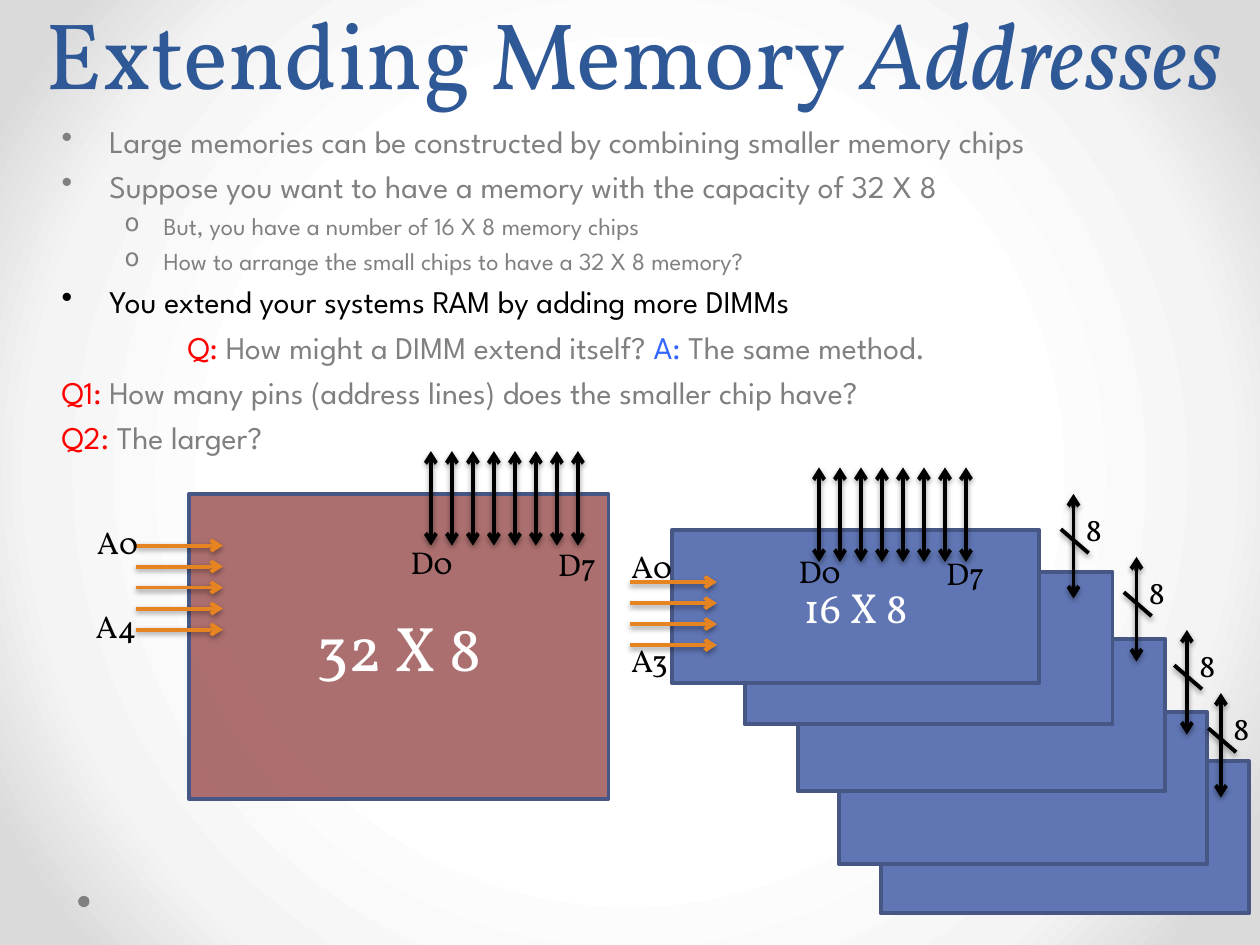
"""Build a slide on extending memory addresses by combining smaller chips."""
from dataclasses import dataclass

from lxml.etree import SubElement
from pptx import Presentation
from pptx.dml.color import RGBColor
from pptx.enum.shapes import MSO_CONNECTOR, MSO_SHAPE
from pptx.enum.text import MSO_ANCHOR, PP_ALIGN
from pptx.oxml import parse_xml
from pptx.oxml.ns import nsdecls, qn
from pptx.slide import Slide
from pptx.text.text import TextFrame
from pptx.util import Inches, Pt

COLORS = {
    "title": "2F5897", "body": "808080", "question": "FF0000", "answer": "3366FF",
    "detail": "7F7F7F", "ink": "000000", "white": "FFFFFF", "large": "9C5252",
    "small": "6076B4", "border": "475785", "address": "E68422",
}
SERIF, SANS = "Vollkorn", "League Spartan"
PITCH = 1 / 6
BACKGROUND = f"""<p:bg {nsdecls('p', 'a')}><p:bgPr><a:gradFill rotWithShape="1"><a:gsLst>
<a:gs pos="50000"><a:srgbClr val="FFFFFF"/></a:gs>
<a:gs pos="76000"><a:srgbClr val="F4F4F4"/></a:gs>
<a:gs pos="92000"><a:srgbClr val="DADADA"/></a:gs></a:gsLst>
<a:path path="circle"><a:fillToRect l="50000" t="50000" r="50000" b="50000"/></a:path>
</a:gradFill><a:effectLst/></p:bgPr></p:bg>"""
SHADOW = f"""<a:effectLst {nsdecls('a')}><a:outerShdw blurRad="40000" dist="20000" dir="5400000"
rotWithShape="0"><a:srgbClr val="000000"><a:alpha val="38000"/></a:srgbClr>
</a:outerShdw></a:effectLst>"""


@dataclass(frozen=True)
class Run:
    """A stretch of text in one style."""
    text: str
    color: str = "body"
    size: float = 18
    font: str = SANS
    italic: bool = False


@dataclass(frozen=True)
class Line:
    """A body paragraph with its bullet and indents."""
    runs: tuple[Run, ...]
    bullet: str = ""
    margin: float = 0
    hanging: float = 0
    before: float = 4.2


@dataclass(frozen=True)
class Chip:
    """A memory chip block."""
    left: float
    top: float
    width: float = 2.92
    height: float = 1.21
    color: str = "small"
    name: str = ""
    size: float = 24
    opacity: int = 100


@dataclass(frozen=True)
class Bus:
    """A set of evenly spaced signal arrows."""
    left: float
    top: float
    count: int


@dataclass(frozen=True)
class Label:
    """A pin name beside a bus."""
    text: str
    left: float
    top: float
    width: float = 0.59
    wrap: bool = True


def bullet(text: str, color: str = "body") -> Line:
    """Return a first-level bullet."""
    return Line((Run(text, color),), "•", 0.38, 0.38)


def sub_bullet(text: str) -> Line:
    """Return a second-level bullet."""
    return Line((Run(text, size=14),), "o", 0.81, 0.31, 3.2)


BODY = (
    bullet("Large memories can be constructed by combining smaller memory chips"),
    bullet("Suppose you want to have a memory with the capacity of 32 X 8"),
    sub_bullet("But, you have a number of 16 X 8 memory chips"),
    sub_bullet("How to arrange the small chips to have a 32 X 8 memory?"),
    bullet("You extend your systems RAM by adding more DIMMs", "ink"),
    Line((Run("Q: ", "question"), Run("How might a DIMM extend itself? "),
          Run("A: ", "answer"), Run("The same method.")), margin=1),
    Line((Run("Q1: ", "question"),
          Run("How many pins (address lines) does the smaller chip have?", "detail"))),
    Line((Run("Q2:", "question"), Run(" The larger?", "detail"))),
)
CHIPS = (
    Chip(1.5, 3.92, 3.33, 2.42, "large", "32 X 8", 36, 83),
    Chip(6.99, 6.04), Chip(6.66, 5.65), Chip(6.33, 5.07), Chip(5.91, 4.54),
    Chip(5.33, 4.21, name="16 X 8"),
)
DATA_BUSES = (Bus(6.5, 3.71, 8), Bus(3.42, 3.58, 8))
ADDRESS_BUSES = (Bus(5, 4.62, 4), Bus(1.08, 4.33, 5))
PINS = (
    Label("A0", 0.67, 4.1), Label("A4", 0.66, 4.77), Label("D0", 3.16, 4.26),
    Label("D7", 4.33, 4.28), Label("A0", 4.91, 4.29), Label("A3", 4.91, 5.04),
    Label("D0", 6.24, 4.33), Label("D7", 7.41, 4.35),
)
BYTE_LINES = ((8.52, 3.92), (9.02, 4.42), (9.42, 5), (9.69, 5.5))


def rgb(name: str) -> RGBColor:
    """Return a named colour."""
    return RGBColor.from_string(COLORS[name])


def add_runs(paragraph, runs: tuple[Run, ...]) -> None:
    """Append styled runs to a paragraph."""
    for part in runs:
        run = paragraph.add_run()
        run.text = part.text
        style = {"name": part.font, "size": Pt(part.size), "italic": part.italic}
        for key, value in style.items():
            setattr(run.font, key, value)
        run.font.color.rgb = rgb(part.color)


def add_text(slide: Slide, left: float, top: float, width: float, height: float,
             wrap: bool = True) -> TextFrame:
    """Add a text box and return its frame."""
    box = slide.shapes.add_textbox(Inches(left), Inches(top), Inches(width), Inches(height))
    box.text_frame.word_wrap = wrap
    return box.text_frame


def add_title(slide: Slide) -> None:
    """Add the centred heading."""
    frame = add_text(slide, -0.61, 0.08, 11.28, 0.83)
    frame.vertical_anchor = MSO_ANCHOR.BOTTOM
    heading = frame.paragraphs[0]
    for key, value in {"alignment": PP_ALIGN.CENTER, "line_spacing": Pt(58)}.items():
        setattr(heading, key, value)
    add_runs(heading, (Run("Extending Memory ", "title", 54, SERIF),
                       Run("Addresses", "title", 54, SERIF, True)))


def add_body(slide: Slide) -> None:
    """Add the bullets and questions."""
    frame = add_text(slide, 0.39, 0.92, 9.61, 5.89)
    for index, line in enumerate(BODY):
        paragraph = frame.add_paragraph() if index else frame.paragraphs[0]
        properties = paragraph._p.get_or_add_pPr()
        properties.set("marL", str(Inches(line.margin)))
        properties.set("indent", str(-Inches(line.hanging)))
        if line.bullet:
            SubElement(properties, qn("a:buChar")).set("char", line.bullet)
        if index:
            paragraph.space_before = Pt(line.before)
        add_runs(paragraph, line.runs)


def add_chip(slide: Slide, chip: Chip) -> None:
    """Add a chip block with its capacity."""
    block = slide.shapes.add_shape(MSO_SHAPE.RECTANGLE, Inches(chip.left), Inches(chip.top),
                                   Inches(chip.width), Inches(chip.height))
    block.shadow.inherit = False
    block.fill.solid()
    block.fill.fore_color.rgb = rgb(chip.color)
    if chip.opacity < 100:
        tint = block._element.spPr.find(f"{qn('a:solidFill')}/{qn('a:srgbClr')}")
        SubElement(tint, qn("a:alpha")).set("val", str(chip.opacity * 1000))
    block.line.color.rgb = rgb("border")
    block.line.width = Pt(2.25)
    if chip.name:
        block.text_frame.vertical_anchor = MSO_ANCHOR.MIDDLE
        capacity = block.text_frame.paragraphs[0]
        capacity.alignment = PP_ALIGN.CENTER
        add_runs(capacity, (Run(chip.name, "white", chip.size, SERIF),))


def add_signal(slide: Slide, start: tuple[float, float], end: tuple[float, float],
               color: str = "ink", arrows: tuple[str, ...] = ()) -> None:
    """Add a shadowed line with arrowheads at the given ends."""
    signal = slide.shapes.add_connector(MSO_CONNECTOR.STRAIGHT, *map(Inches, start + end))
    signal.line.color.rgb = rgb(color)
    signal.line.width = Pt(2.25)
    for arrow in arrows:
        SubElement(signal.line._get_or_add_ln(), qn(f"a:{arrow}")).set("type", "arrow")
    signal._element.spPr.append(parse_xml(SHADOW))


def add_label(slide: Slide, label: Label) -> None:
    """Add a pin name or line count."""
    frame = add_text(slide, label.left, label.top, label.width, 0.4, label.wrap)
    add_runs(frame.paragraphs[0], (Run(label.text, "ink", 18, SERIF),))


def main() -> None:
    """Draw and save the slide."""
    deck = Presentation()
    deck.slide_width, deck.slide_height = Inches(10), Inches(7.5)
    slide = deck.slides.add_slide(deck.slide_layouts[6])
    slide._element.cSld.insert(0, parse_xml(BACKGROUND))
    dot = slide.shapes.add_shape(MSO_SHAPE.OVAL, Inches(0.62), Inches(7.11),
                                 Inches(0.09), Inches(0.09))
    dot.shadow.inherit = False
    dot.fill.solid()
    dot.fill.fore_color.rgb = rgb("body")
    dot.line.fill.background()
    add_body(slide)
    add_title(slide)
    for chip in CHIPS:
        add_chip(slide, chip)
    both = ("headEnd", "tailEnd")
    for bus in DATA_BUSES:
        for pin in range(bus.count):
            x = bus.left + pin * PITCH
            add_signal(slide, (x, bus.top + 0.75), (x, bus.top), arrows=both)
    for bus in ADDRESS_BUSES:
        for pin in range(bus.count):
            y = bus.top + pin * PITCH
            add_signal(slide, (bus.left, y), (bus.left + 0.69, y), "address", ("tailEnd",))
    for pin_name in PINS:
        add_label(slide, pin_name)
    for x, y in BYTE_LINES:
        add_signal(slide, (x, y), (x, y + 0.83), arrows=both)
        add_signal(slide, (x - 0.1, y + 0.28), (x + 0.12, y + 0.47))
        add_label(slide, Label("8", x, y + 0.08, 0.33, False))
    deck.save("out.pptx")


if __name__ == "__main__":
    main()
